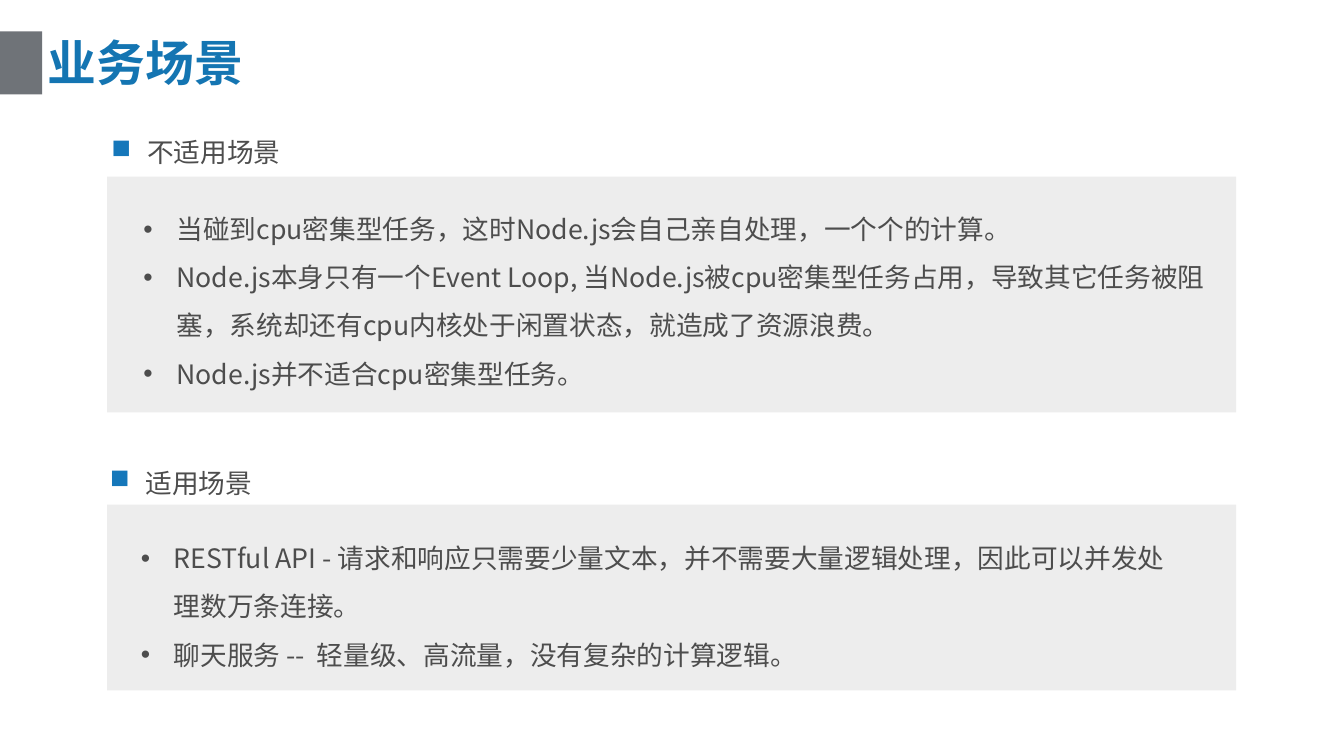
from lxml import etree
from pptx import Presentation
from pptx.dml.color import RGBColor
from pptx.enum.shapes import MSO_SHAPE
from pptx.enum.text import MSO_ANCHOR
from pptx.oxml.ns import qn
from pptx.util import Inches, Pt

RECT = MSO_SHAPE.RECTANGLE
TOP, MIDDLE = MSO_ANCHOR.TOP, MSO_ANCHOR.MIDDLE
FONT = "Noto Sans CJK SC"
COLORS = {"title": "1475B2", "marker": "1577BA", "text": "4D4D4D",
          "panel": "EDEDED", "tab": "6F7378"}

TITLE = "业务场景"
# Boxes are (left, top, width, height) in inches.
SECTIONS = [
    {
        "heading": "不适用场景",
        "heading_box": (1.99, 2.2, 20.13, 0.91),
        "panel_box": (2.01, 3.31, 21.17, 4.42),
        "points": [
            "当碰到cpu密集型任务，这时Node.js会自己亲自处理，一个个的计算。",
            "Node.js本身只有一个Event Loop, 当Node.js被cpu密集型任务占用，"
            "导致其它任务被阻塞，系统却还有cpu内核处于闲置状态，就造成了资源浪费。",
            "Node.js并不适合cpu密集型任务。",
        ],
        "points_box": (2.59, 3.64, 20.13, 3.74),
        "inset": 0.1,
    },
    {
        "heading": "适用场景",
        "heading_box": (2.01, 8.39, 19.37, 0.91),
        "panel_box": (2.01, 9.46, 21.17, 3.48),
        "points": [
            "RESTful API - 请求和响应只需要少量文本，并不需要大量逻辑处理，"
            "因此可以并发处理数万条连接。",
            "聊天服务 --  轻量级、高流量，没有复杂的计算逻辑。",
        ],
        "points_box": (2.59, 9.81, 19.37, 2.83),
        "inset": 0.05,
    },
]
# Wingdings draws the letter n as a filled square.
SQUARE = {"char": "n", "font": "Wingdings", "color": "marker", "indent": 0.67}
DOT = {"char": "•", "font": "Arial", "color": "text", "indent": 0.62}


def rgb(name):
    return RGBColor.from_string(COLORS[name])


def add_rect(s, box, color):
    sp = s.shapes.add_shape(RECT, *map(Inches, box))
    sp.shadow.inherit = False
    sp.fill.solid()
    sp.fill.fore_color.rgb = rgb(color)
    sp.line.fill.background()


def set_bullet(p, bullet):
    """Give the paragraph a hanging indent and a coloured bullet."""
    pPr = p._p.get_or_add_pPr()
    indent = Inches(bullet["indent"])
    pPr.set("marL", str(indent))
    pPr.set("indent", str(-indent))
    color = etree.SubElement(pPr, qn("a:buClr"))
    etree.SubElement(color, qn("a:srgbClr"), val=COLORS[bullet["color"]])
    etree.SubElement(pPr, qn("a:buFont"), typeface=bullet["font"])
    etree.SubElement(pPr, qn("a:buChar"), char=bullet["char"])


def add_text(s, box, lines, size=36, color="text", bold=False, bullet=None,
             spacing=None, inset=0.1, anchor=TOP):
    tf = s.shapes.add_textbox(*map(Inches, box)).text_frame
    tf.word_wrap = True
    tf.vertical_anchor = anchor
    tf.margin_left = tf.margin_right = Inches(inset)
    for i, line in enumerate(lines):
        p = tf.add_paragraph() if i else tf.paragraphs[0]
        if spacing:
            p.line_spacing = Pt(spacing)
        if bullet:
            set_bullet(p, bullet)
        r = p.add_run()
        r.text = line
        r.font.size = Pt(size)
        r.font.bold = bold
        r.font.name = FONT
        r.font.color.rgb = rgb(color)
        etree.SubElement(r._r.get_or_add_rPr(), qn("a:ea"), typeface=FONT)


def main():
    prs = Presentation()
    prs.slide_width, prs.slide_height = Inches(25.2), Inches(14.17)
    s = prs.slides.add_slide(prs.slide_layouts[6])

    add_rect(s, (0, 0.59, 0.79, 1.18), "tab")
    add_text(s, (0.79, 0.57, 23.62, 1.2), [TITLE], size=66, color="title",
             bold=True, anchor=MIDDLE)
    for section in SECTIONS:
        add_rect(s, section["panel_box"], "panel")
        add_text(s, section["heading_box"], [section["heading"]],
                 bullet=SQUARE, spacing=65, inset=section["inset"])
        add_text(s, section["points_box"], section["points"],
                 bullet=DOT, spacing=65, inset=section["inset"])
    prs.save("out.pptx")


if __name__ == "__main__":
    main()
